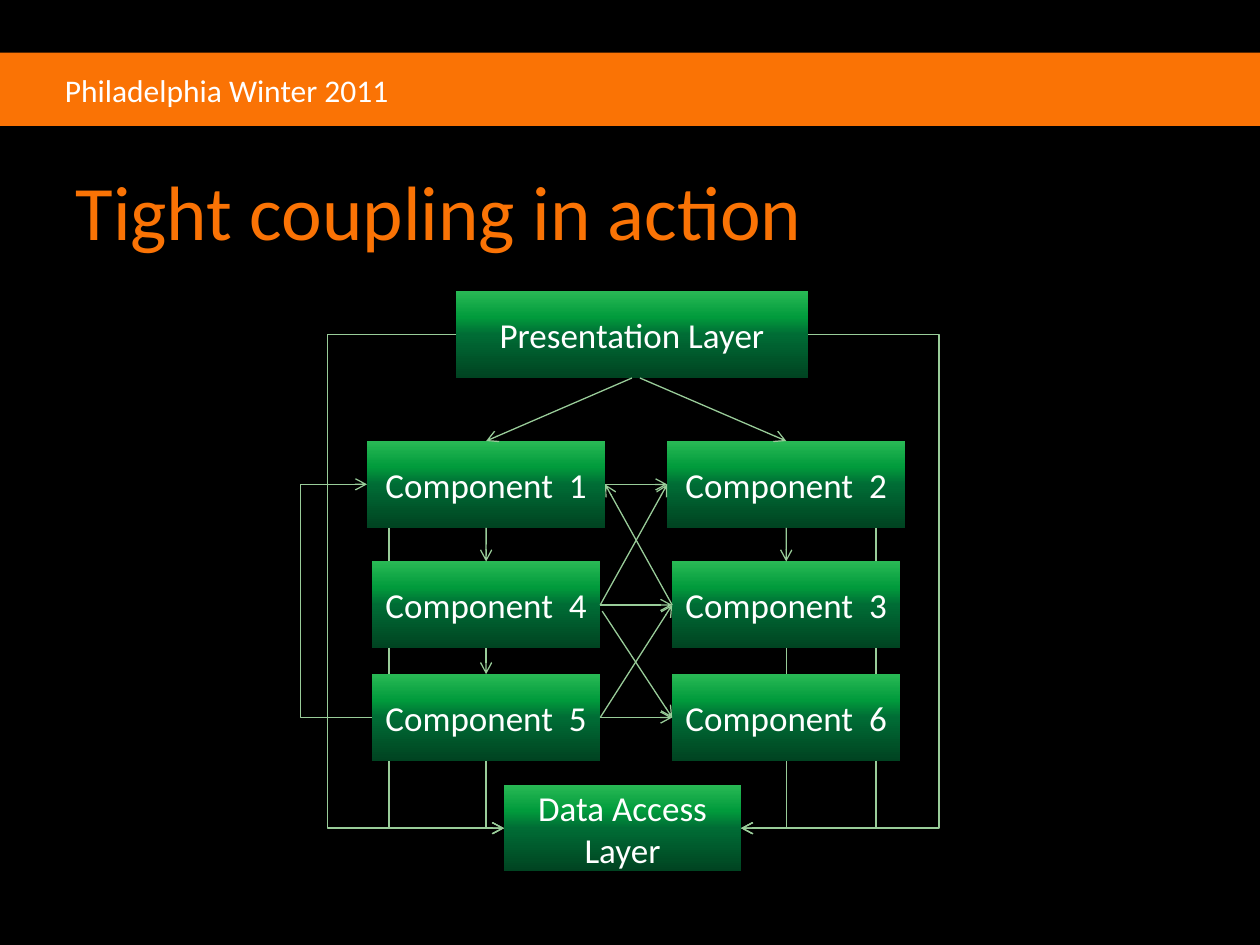
import pptx
import pptx.dml.color
import pptx.enum.shapes
import pptx.enum.text
import pptx.oxml
import pptx.oxml.ns
import pptx.util

Cm = pptx.util.Cm
KIND = pptx.enum.shapes.MSO_CONNECTOR
RECT = pptx.enum.shapes.MSO_SHAPE.RECTANGLE
ALIGN = pptx.enum.text.PP_ALIGN
MID = pptx.enum.text.MSO_ANCHOR.MIDDLE
qn = pptx.oxml.ns.qn

COLORS = {"back": "000000", "band": "FA7305", "text": "FFFFFF", "line": "99CC99"}
GREENS = {0: "004321", 50: "006C35", 70: "019B3C", 100: "29B955"}
TOP, LEFT, BOTTOM, RIGHT = range(4)
TALL = 1.75

# Boxes: text, centre x, top, width
COL1, COL2 = 9.8, 15.85
ROW1, ROW2, ROW3 = 8.89, 11.32, 13.59
BOXES = {
    "show": ("Presentation Layer", 12.74, 5.87, 7.1),
    "c1": ("Component  1", COL1, ROW1, 4.8),
    "c2": ("Component  2", COL2, ROW1, 4.8),
    "c3": ("Component  3", COL2, ROW2, 4.6),
    "c4": ("Component  4", COL1, ROW2, 4.6),
    "c5": ("Component  5", COL1, ROW3, 4.6),
    "c6": ("Component  6", COL2, ROW3, 4.6),
    "data": ("Data Access Layer", 12.55, 15.82, 4.78),
}

# Straight arrows: box and side, or a free point, at each end
ARROWS = [
    (("show", BOTTOM), ("c1", TOP)),
    ((12.9, 7.62), ("c2", TOP)),
    (("c2", BOTTOM), ("c3", TOP)),
    (("c1", BOTTOM), ("c4", TOP)),
    (("c4", BOTTOM), ("c5", TOP)),
    (("c1", RIGHT), ("c2", LEFT)),
    (("c3", LEFT), ("c1", RIGHT)),
    (("c4", RIGHT), ("c2", LEFT)),
    (("c4", RIGHT), ("c3", LEFT)),
    (("c5", RIGHT), ("c3", LEFT)),
    ((12.14, 12.32), ("c6", LEFT)),
    (("c5", RIGHT), ("c6", LEFT)),
]


def rgb(name):
    return pptx.dml.color.RGBColor.from_string(COLORS[name])


def write(shape, text, size=20, color="text", align=ALIGN.LEFT, wrap=True):
    frame = shape.text_frame
    frame.word_wrap = wrap
    frame.vertical_anchor = MID
    frame.text = text
    para = frame.paragraphs[0]
    para.alignment = align
    para.font.size = pptx.util.Pt(size)
    para.font.name = "Calibri"
    para.font.color.rgb = rgb(color)


def rect(slide, x, y, wide, high):
    shape = slide.shapes.add_shape(RECT, Cm(x), Cm(y), Cm(wide), Cm(high))
    shape.shadow.inherit = False
    shape.line.fill.background()
    return shape


def box(slide, text, mid, top, wide):
    shape = rect(slide, mid - wide / 2, top, wide, TALL)
    shape.fill.gradient()
    shape.fill.gradient_angle = 90
    stops = shape.fill._fill._gradFill.find(qn("a:gsLst"))
    for stop in list(stops):
        stops.remove(stop)
    for place, color in GREENS.items():
        stop = pptx.oxml.parse_xml(
            f'<a:gs {pptx.oxml.ns.nsdecls("a")} pos="{place * 1000}">'
            f'<a:srgbClr val="{color}"/></a:gs>')
        stops.append(stop)
    write(shape, text, align=ALIGN.CENTER)
    return shape


def side(name, spot):
    """Middle of one side of a box, in cm."""
    _, mid, top, wide = BOXES[name]
    return {
        TOP: (mid, top),
        LEFT: (mid - wide / 2, top + TALL / 2),
        BOTTOM: (mid, top + TALL),
        RIGHT: (mid + wide / 2, top + TALL / 2),
    }[spot]


def wire(slide, kind, start, end):
    line = slide.shapes.add_connector(kind, *(Cm(n) for n in (*start, *end)))
    line.line.color.rgb = rgb("line")
    line.line.width = pptx.util.Pt(0.75)
    props = line._element.spPr
    head = props.find(qn("a:ln")).makeelement(qn("a:tailEnd"), {"type": "arrow"})
    props.find(qn("a:ln")).append(head)
    props.append(props.makeelement(qn("a:effectLst"), {}))
    return line


def arrow(slide, shapes, start, end):
    ends = [side(*e) if e[0] in shapes else e for e in (start, end)]
    line = wire(slide, KIND.STRAIGHT, *ends)
    if start[0] in shapes:
        line.begin_connect(shapes[start[0]], start[1])
    if end[0] in shapes:
        line.end_connect(shapes[end[0]], end[1])


def around(slide, start, end, via):
    """Elbow that goes sideways to x = via, then up or down, then back."""
    line = wire(slide, KIND.ELBOW, start, end)
    ratio = round((via - start[0]) / (end[0] - start[0]) * 100000)
    guides = line._element.spPr.find(qn("a:prstGeom")).get_or_add_avLst()
    guides.append(guides.makeelement(
        qn("a:gd"), {"name": "adj1", "fmla": f"val {ratio}"}))


def drop(slide, start, end):
    """Elbow that goes straight down, then sideways: a turned one-bend wire."""
    wide, high = abs(end[0] - start[0]), end[1] - start[1]
    x, y = (start[0] + end[0]) / 2, (start[1] + end[1]) / 2
    near, far = x - high / 2, x + high / 2
    turn = 90
    if end[0] > start[0]:
        near, far, turn = far, near, 270
    line = wire(slide, KIND.ELBOW, (near, y - wide / 2), (far, y + wide / 2))
    props = line._element.spPr
    props.find(qn("a:prstGeom")).set("prst", "bentConnector2")
    props.find(qn("a:xfrm")).set("rot", str(turn * 60000))


def main():
    deck = pptx.Presentation()
    deck.slide_width, deck.slide_height = Cm(25.4), Cm(19.05)
    slide = deck.slides.add_slide(deck.slide_layouts[5])
    slide.background.fill.solid()
    slide.background.fill.fore_color.rgb = rgb("back")

    # Header band and title
    band = rect(slide, 0, 1.06, 25.4, 1.48)
    band.fill.solid()
    band.fill.fore_color.rgb = rgb("band")
    label = slide.shapes.add_textbox(Cm(1.06), Cm(1.3), Cm(7.1), Cm(1.02))
    write(label, "Philadelphia Winter 2011", size=18, wrap=False)
    title = slide.shapes.title
    title.left, title.top = Cm(1.27), Cm(2.96)
    title.width, title.height = Cm(22.86), Cm(2.54)
    write(title, "Tight coupling in action", size=44, color="band")

    # Elbow wires, behind the boxes
    west, east = side("data", LEFT), side("data", RIGHT)
    around(slide, side("show", LEFT), west, 6.6)
    around(slide, side("show", RIGHT), east, 18.93)
    around(slide, side("c5", LEFT), side("c1", LEFT), 6.06)
    drop(slide, (7.84, ROW1 + TALL), west)
    drop(slide, (17.66, ROW1 + TALL), east)
    drop(slide, side("c5", BOTTOM), west)
    drop(slide, side("c3", BOTTOM), east)

    # Boxes and the straight arrows between them
    shapes = {name: box(slide, *spec) for name, spec in BOXES.items()}
    for start, end in ARROWS:
        arrow(slide, shapes, start, end)

    deck.save("out.pptx")


if __name__ == "__main__":
    main()
